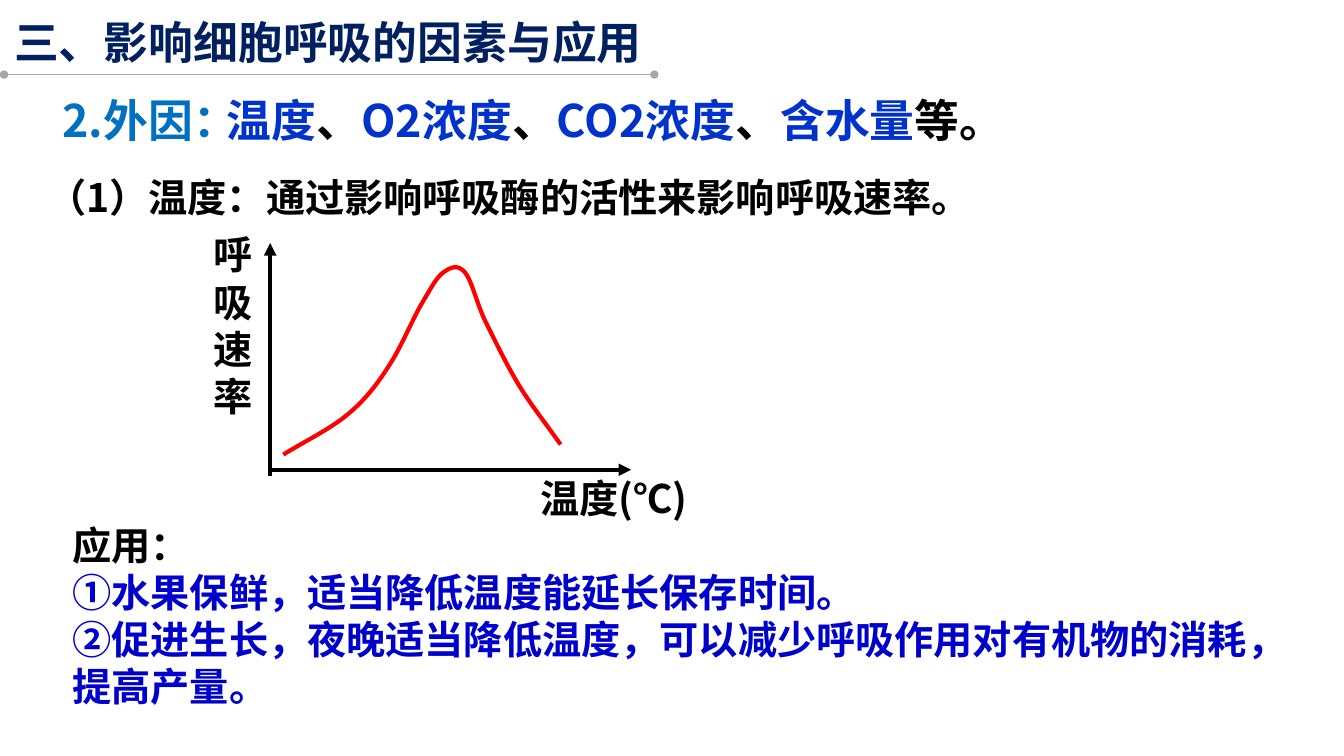
from lxml import etree
from pptx import Presentation
from pptx.dml.color import RGBColor
from pptx.enum.shapes import MSO_CONNECTOR
from pptx.enum.text import MSO_ANCHOR, MSO_AUTO_SIZE, PP_ALIGN
from pptx.oxml.ns import qn
from pptx.util import Pt

PX = 9144  # EMU per px, 100 px to the inch
STRAIGHT = MSO_CONNECTOR.STRAIGHT
TOP = MSO_ANCHOR.TOP
LEFT = PP_ALIGN.LEFT
GROW = MSO_AUTO_SIZE.SHAPE_TO_FIT_TEXT
FONT = "Noto Sans CJK SC"
TITLE_ONLY = 5

BLACK, RED, GRAY = "000000", "FF0000", "A6A6A6"
NAVY, SKY, FACTOR_BLUE, USE_BLUE = "002060", "0070C0", "0033CC", "0000CC"

RATE_CURVE = [(281, 451), (345, 411), (387, 361), (419, 300), (440, 270),
              (461, 270), (482, 320), (514, 381), (556, 441)]


def color(hex_text):
    return RGBColor.from_string(hex_text)


def add_span(para, text, size, hex_text):
    span = para.add_run()
    span.text = text
    font = span.font
    font.size, font.bold, font.name = Pt(size), True, FONT
    font.color.rgb = color(hex_text)
    east_asian = etree.SubElement(span._r.get_or_add_rPr(), qn("a:ea"))
    east_asian.set("typeface", FONT)


def fill_text(box, place, size, paragraphs, wrap=True):
    """Place a box; each paragraph is a list of (text, colour) spans."""
    box.left, box.top, box.width, box.height = (n * PX for n in place)
    frame = box.text_frame
    frame.word_wrap, frame.auto_size = wrap, GROW
    frame.vertical_anchor = TOP
    for index, spans in enumerate(paragraphs):
        para = frame.add_paragraph() if index else frame.paragraphs[0]
        para.alignment = LEFT
        for text, hex_text in spans:
            add_span(para, text, size, hex_text)


def add_text(page, place, size, paragraphs, wrap=True):
    box = page.shapes.add_textbox(0, 0, PX, PX)
    fill_text(box, place, size, paragraphs, wrap)


def add_line(page, start, end, hex_text, width, end_tag, end_type):
    line = page.shapes.add_connector(STRAIGHT, *(n * PX for n in start + end))
    line.line.color.rgb = color(hex_text)
    line.line.width = Pt(width)
    tip = etree.SubElement(line.line._get_or_add_ln(), qn(end_tag))
    tip.set("type", end_type)
    etree.SubElement(line._element.spPr, qn("a:effectLst"))


def add_smooth_curve(page, points, hex_text, width):
    """Draw a curve through the points, its slope set by their neighbours."""
    builder = page.shapes.build_freeform(*points[0], scale=PX)
    builder.add_line_segments(points[1:], close=False)
    curve = builder.convert_to_shape()
    curve.shadow.inherit = False
    curve.fill.background()
    curve.line.color.rgb = color(hex_text)
    curve.line.width = Pt(width)

    # Mirror the end points so that the first and last slopes are defined
    (x0, y0), (x1, y1) = points[:2]
    (x8, y8), (x9, y9) = points[-2:]
    chain = [(2 * x0 - x1, 2 * y0 - y1), *points, (2 * x9 - x8, 2 * y9 - y8)]
    left, top = (min(axis) for axis in zip(*points))
    segments = list(curve._element.iter(qn("a:lnTo")))
    for index, segment in enumerate(segments):
        before, start, end, after = chain[index:index + 4]
        handles = [
            [s + (e - b) / 6 for b, s, e in zip(before, start, end)],
            [e - (a - s) / 6 for s, e, a in zip(start, end, after)],
            end,
        ]
        segment.clear()
        segment.tag = qn("a:cubicBezTo")
        for x, y in handles:
            point = etree.SubElement(segment, qn("a:pt"))
            point.set("x", str(round(x - left)))
            point.set("y", str(round(y - top)))


def main():
    deck = Presentation()
    deck.slide_width, deck.slide_height = 1333 * PX, 750 * PX
    page = deck.slides.add_slide(deck.slide_layouts[TITLE_ONLY])

    # Title and its rule with round ends
    add_line(page, (107, 74), (649, 74), GRAY, 0.5, "a:tailEnd", "oval")
    add_line(page, (4, 74), (546, 74), GRAY, 0.5, "a:headEnd", "oval")
    fill_text(page.shapes.title, (4, 10, 645, 64), 32,
              [[("三、影响细胞呼吸的因素与应用", NAVY)]], wrap=False)

    # External factors
    add_text(page, (52, 87, 199, 64), 32, [[("2.外因：", SKY)]], wrap=False)
    add_text(page, (215, 87, 1109, 118), 32, [[
        ("温度", FACTOR_BLUE), ("、", BLACK),
        ("O2浓度", FACTOR_BLUE), ("、", BLACK),
        ("CO2浓度", FACTOR_BLUE), ("、", BLACK),
        ("含水量", FACTOR_BLUE), ("等。", BLACK),
    ]])
    add_text(page, (37, 167, 929, 57), 28,
             [[("（1）温度：通过影响呼吸酶的活性来影响呼吸速率。", BLACK)]])

    # Respiration rate against temperature
    add_line(page, (268, 466), (626, 466), BLACK, 3, "a:tailEnd", "triangle")
    add_text(page, (526, 466, 221, 57), 28, [[("温度(℃)", BLACK)]])
    add_text(page, (202, 224, 49, 198), 28, [[("呼吸速率", BLACK)]])
    add_smooth_curve(page, RATE_CURVE, RED, 3)
    add_line(page, (268, 472), (268, 241), BLACK, 3, "a:tailEnd", "triangle")

    # Applications
    add_text(page, (62, 512, 1262, 246), 28, [
        [("应用：", BLACK)],
        [("①水果保鲜，适当降低温度能延长保存时间。", USE_BLUE)],
        [("②促进生长，夜晚适当降低温度，可以减少呼吸作用对有机物的消耗，提高产量。",
          USE_BLUE)],
    ])

    deck.save("out.pptx")


if __name__ == "__main__":
    main()
